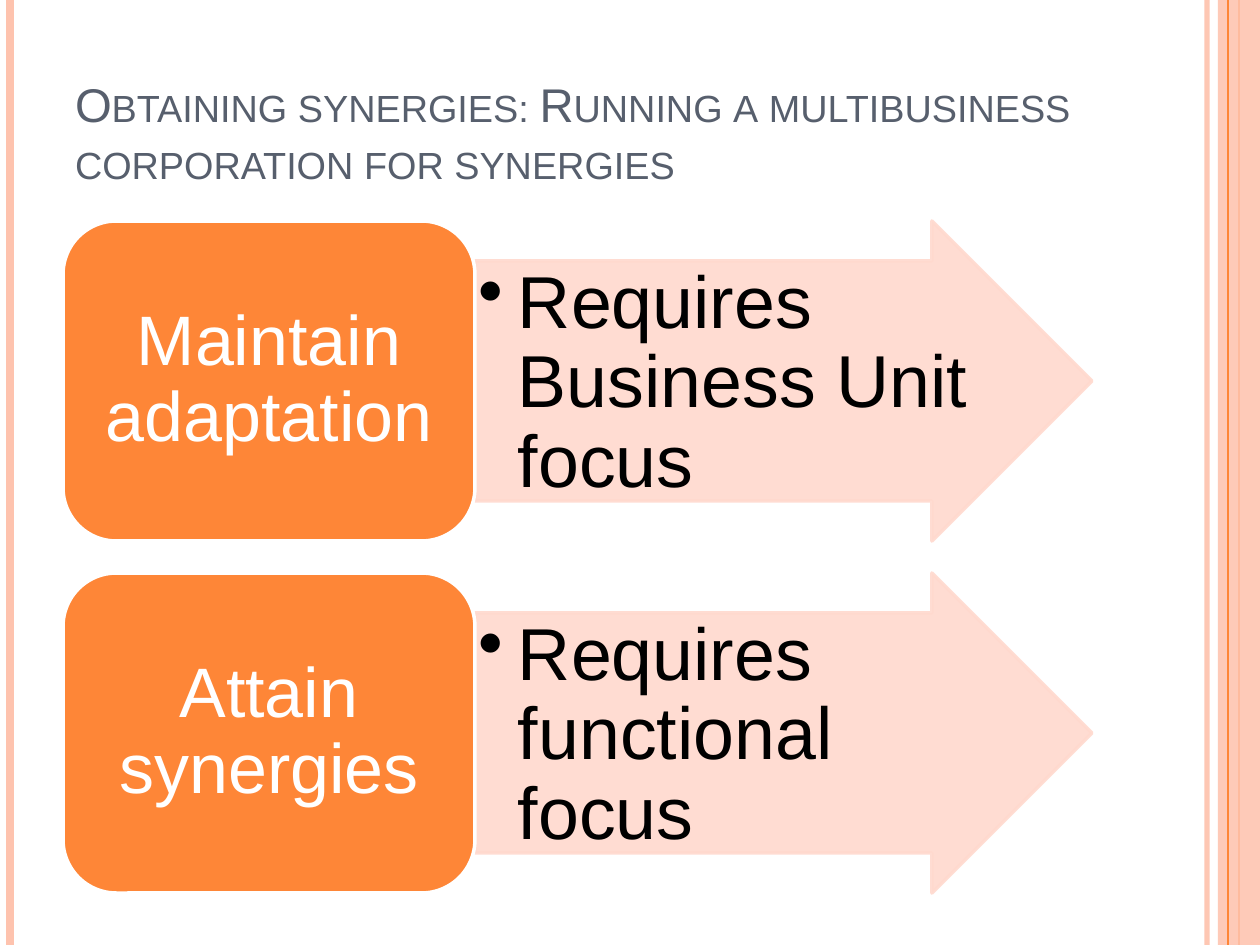
from pptx import Presentation
from pptx.dml.color import RGBColor
from pptx.enum.shapes import MSO_CONNECTOR, MSO_SHAPE
from pptx.enum.text import MSO_ANCHOR, PP_ALIGN
from pptx.oxml.ns import qn
from pptx.util import Emu, Pt
from lxml.etree import SubElement

PX = 914400 / 126
WIDTH, HEIGHT = 1260, 945
FONT = "Arial"
ORANGE = RGBColor(0xFE, 0x86, 0x37)
PEACH = RGBColor(0xFE, 0xC3, 0xAE)
BLUSH = RGBColor(0xFF, 0xD9, 0xCE)
SLATE = RGBColor(0x57, 0x5F, 0x6D)
WHITE = RGBColor(0xFF, 0xFF, 0xFF)
BLACK = RGBColor(0, 0, 0)

TOP, PITCH, ROW = 221, 352, 320
ROWS = [
    ("Maintain adaptation", "Requires Business Unit focus"),
    ("Attain synergies", "Requires functional focus"),
]


def px(*vals):
    return [Emu(round(val * PX)) for val in vals]


def fade(item, alpha):
    """Give every colour of the item's fill and line this opacity in percent."""
    for color in item._element.spPr.iter(qn("a:srgbClr")):
        SubElement(color, qn("a:alpha"), val=str(alpha * 1000))


def add_rule(slide, x, color, width, alpha=100):
    rule = slide.shapes.add_connector(MSO_CONNECTOR.STRAIGHT, *px(x, 0, x, HEIGHT))
    rule.line.color.rgb = color
    rule.line.width = Pt(width)
    SubElement(rule._element.spPr, qn("a:effectLst"))
    if alpha < 100:
        fade(rule, alpha)


def add_block(slide, kind, box, fill, edge=None, alpha=100):
    block = slide.shapes.add_shape(kind, *px(*box))
    block.shadow.inherit = False
    block.fill.solid()
    block.fill.fore_color.rgb = fill
    if edge is None:
        block.line.fill.background()
    else:
        block.line.color.rgb = edge
        block.line.width = Pt(2)
    if alpha < 100:
        fade(block, alpha)
    return block


def set_text(shape, text, size, color, anchor, align, pad):
    frame = shape.text_frame
    frame.word_wrap = True
    frame.vertical_anchor = anchor
    side, end = px(*pad)
    frame.margin_left = frame.margin_right = side
    frame.margin_top = frame.margin_bottom = end
    para = frame.paragraphs[0]
    para.text = text
    para.alignment = align
    para.font.name = FONT
    para.font.size = Pt(size)
    para.font.color.rgb = color
    return para


def add_bullet(para, indent):
    props = para._p.get_or_add_pPr()
    gap, = px(indent)
    props.set("marL", str(gap))
    props.set("indent", str(-gap))
    bullet = props.makeelement(qn("a:buChar"), {"char": "•"})
    props.find(qn("a:defRPr")).addprevious(bullet)


def add_title(slide, text):
    box = slide.shapes.add_textbox(*px(63, 38, 1029, 157))
    para = set_text(box, text, 27, SLATE, MSO_ANCHOR.BOTTOM, PP_ALIGN.LEFT, (12, 6))
    para.runs[0].font._element.set("cap", "small")


def add_row(slide, top, goal, need):
    arrow = add_block(slide, MSO_SHAPE.RIGHT_ARROW, (475, top, 617, ROW), BLUSH, BLUSH, 90)
    arrow.adjustments[0] = 0.75
    para = set_text(arrow, need, 42, BLACK, MSO_ANCHOR.TOP, PP_ALIGN.LEFT, (4, 4))
    para.line_spacing = 0.9
    add_bullet(para, 39)

    card = add_block(slide, MSO_SHAPE.ROUNDED_RECTANGLE, (63, top, 412, ROW), ORANGE, WHITE)
    para = set_text(card, goal, 40, WHITE, MSO_ANCHOR.MIDDLE, PP_ALIGN.CENTER, (21, 10))
    para.line_spacing = 0.9


def add_frame(slide):
    """Draw the stripes along the left and right edges."""
    add_rule(slide, 1207, PEACH, 3, 93)
    add_rule(slide, 10, PEACH, 4.5)
    add_rule(slide, 1239, ORANGE, 1.5)
    add_block(slide, MSO_SHAPE.RECTANGLE, (1218, 0, 42, HEIGHT), PEACH, alpha=87)
    add_rule(slide, 1228, ORANGE, 0.75)


def main():
    deck = Presentation()
    deck.slide_width, deck.slide_height = px(WIDTH, HEIGHT)
    slide = deck.slides.add_slide(deck.slide_layouts[6])
    add_frame(slide)
    add_title(slide, "Obtaining synergies: Running a multibusiness corporation for synergies")
    for num, (goal, need) in enumerate(ROWS):
        add_row(slide, TOP + num * PITCH, goal, need)
    deck.save("out.pptx")


if __name__ == "__main__":
    main()
